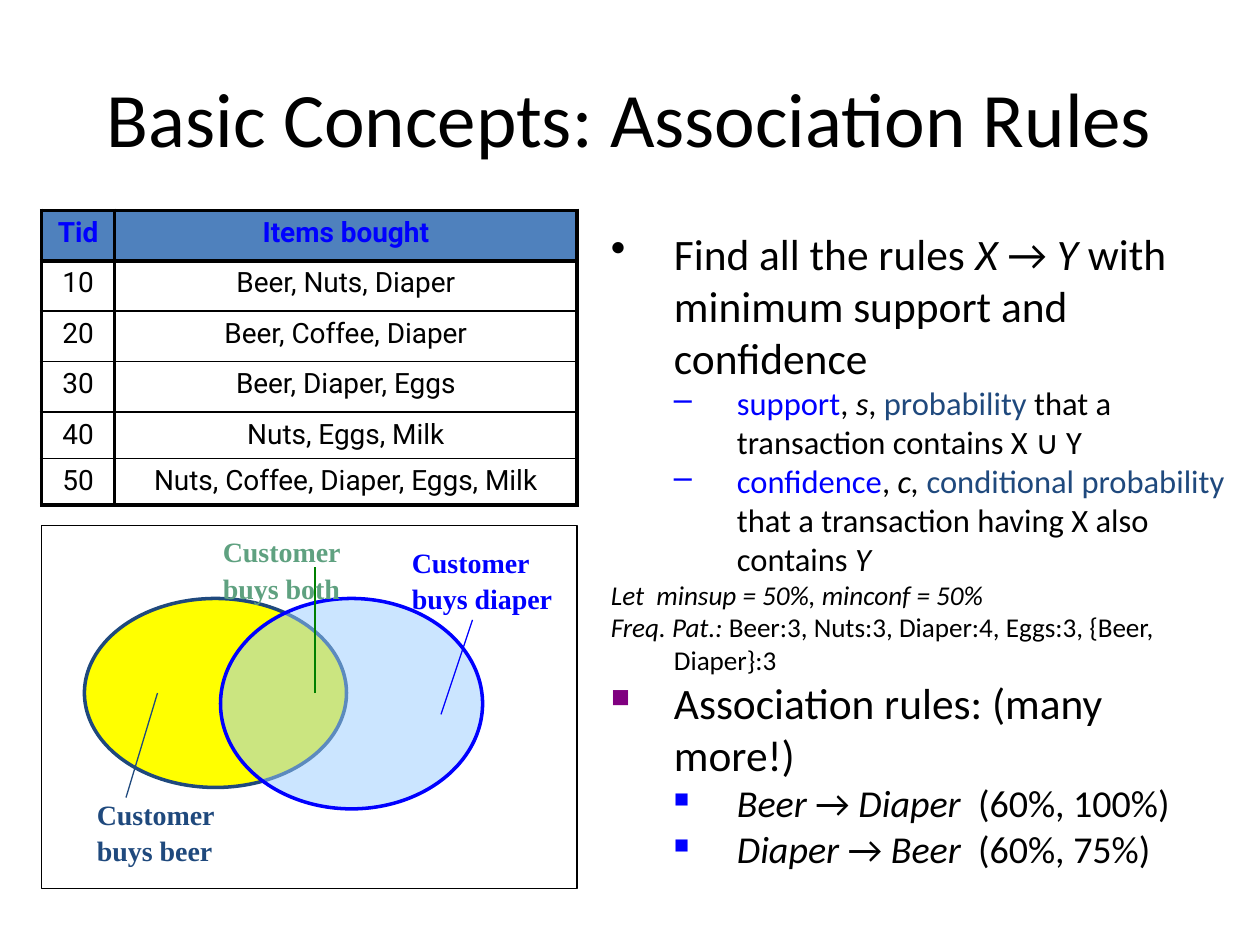
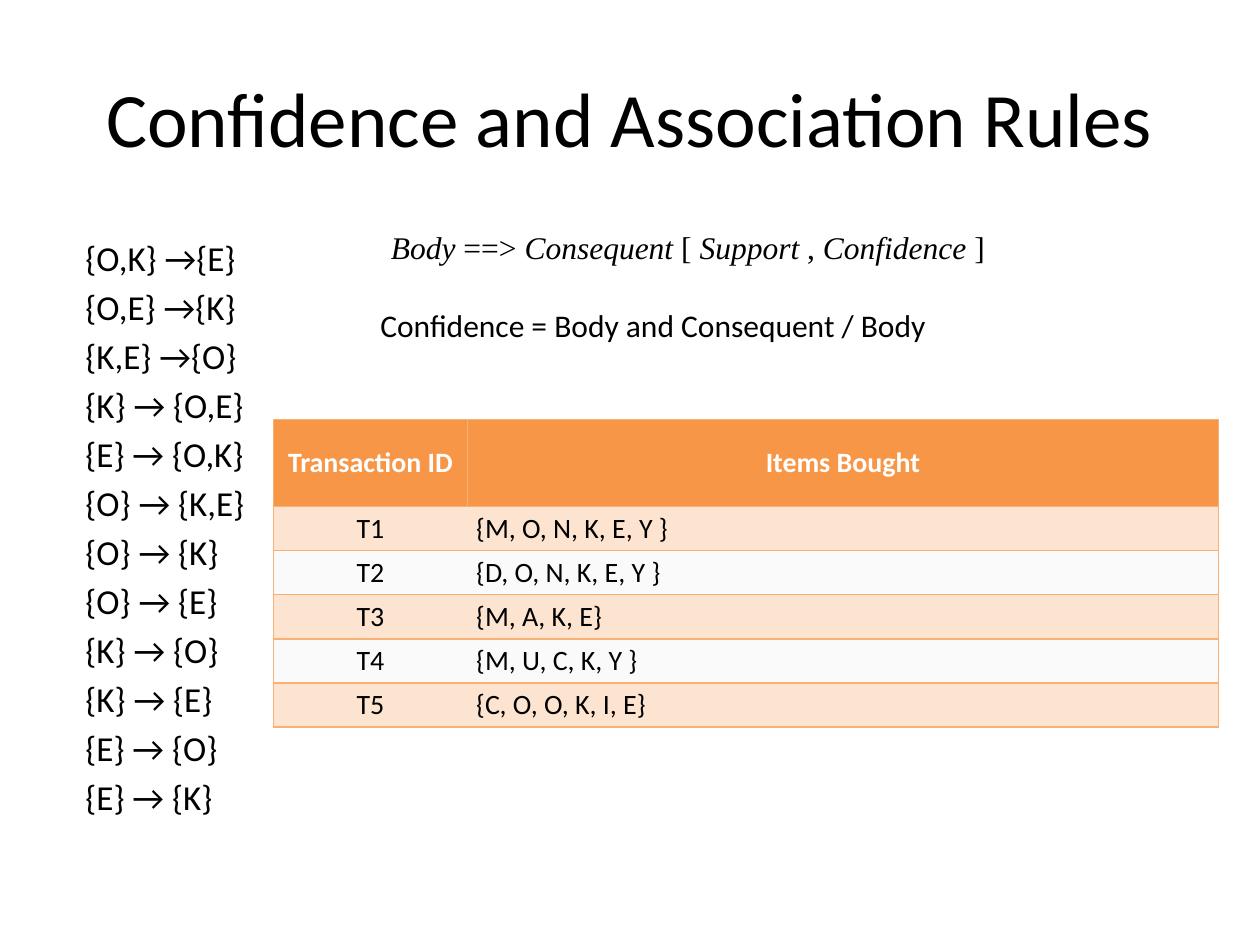
from dataclasses import dataclass

from lxml import etree
from pptx import Presentation
from pptx import util as u
from pptx.dml.color import RGBColor
from pptx.enum import shapes, text
from pptx.oxml import ns


@dataclass(frozen=True)
class Theme:
    black: str = "000000"
    white: str = "FFFFFF"
    blue: str = "0000FF"
    navy: str = "1F497D"
    purple: str = "800080"
    green: str = "008000"
    sage: str = "5FA180"
    yellow: str = "FFFF00"
    sky: str = "99CCFF"
    sans: str = "Calibri"
    serif: str = "Times New Roman"
    grid: str = "Roboto"
    title: float = 44
    big: float = 24.8
    mid: float = 21.7
    sub: float = 18.6
    note: float = 15.5
    list: float = 20
    text: float = 18
    small: float = 16


T = Theme()
I = "italic"  # marks an italic run; any other mark is a colour

# Content: a paragraph is a string or a list of strings and (string, mark) runs

TITLES = ["Basic Concepts: Association Rules", "Confidence and Association Rules"]

BASKETS = [
    ("Tid", "Items bought"),
    ("10", "Beer, Nuts, Diaper"),
    ("20", "Beer, Coffee, Diaper"),
    ("30", "Beer, Diaper, Eggs"),
    ("40", "Nuts, Eggs, Milk"),
    ("50", "Nuts, Coffee, Diaper, Eggs, Milk"),
]

ORDERS = [
    ("Transaction ID", "Items Bought"),
    ("T1", "{M, O, N, K, E, Y }"),
    ("T2", "{D, O, N, K, E, Y }"),
    ("T3", "{M, A, K, E}"),
    ("T4", "{M, U, C, K, Y }"),
    ("T5", "{C, O, O, K, I, E}"),
]

# Paragraph kinds: size, left indent, bullet, bullet colour, bullet percent
KINDS = {
    "point": (T.big, 0.5, "•", T.black, 100),
    "dash": (T.sub, 1, "–", T.blue, 100),
    "note": (T.note, 0.5, None, None, None),
    "box": (T.big, 0.5, "■", T.purple, 60),
    "sub": (T.mid, 1, "■", T.blue, 55),
}

POINTS = [
    ("point", ["Find all the rules ", ("X ", I), "→ ", ("Y ", I),
               "with minimum support and confidence"]),
    ("dash", [("support", T.blue), ", ", ("s", I), ", ", ("probability", T.navy),
              " that a transaction contains X ∪ Y"]),
    ("dash", [("confidence", T.blue), ", ", ("c, ", I),
              ("conditional probability", T.navy),
              " that a transaction having X also contains ", ("Y", I)]),
    ("note", [("Let  minsup = 50%, minconf = 50%", I)]),
    ("note", [("Freq. Pat.: ", I),
              "Beer:3, Nuts:3, Diaper:4, Eggs:3, {Beer, Diaper}:3"]),
    ("box", ["Association rules: (many more!)"]),
    ("sub", [("Beer ", I), "→", (" Diaper  ", I), "(60%, 100%)"]),
    ("sub", [("Diaper ", I), "→", (" Beer  ", I), "(60%, 75%)"]),
]

RULES = [
    "{O,K} →{E}", "{O,E} →{K}", "{K,E} →{O}",
    "{K} → {O,E}", "{E} → {O,K}", "{O} → {K,E}",
    "{O} → {K}", "{O} → {E}", "{K} → {O}",
    "{K} → {E}", "{E} → {O}", "{E} → {K}",
]

FORM = [("Body", I), " ==> ", ("Consequent", I), " [ ", ("Support", I), " , ",
        ("Confidence", I), " ] "]
RATIO = "Confidence = Body and Consequent / Body"

# Venn diagram: box, fill, alpha percent, line colour
RINGS = [
    ((0.67, 4.75, 2.08, 1.5), T.yellow, 100, T.navy),
    ((1.75, 4.75, 2.08, 1.67), T.sky, 50, T.blue),
]
LEADS = [
    ((1.25, 5.5, 1, 6.33), T.navy),
    ((3.5, 5.67, 3.75, 4.92), T.blue),
    ((2.5, 5.5, 2.5, 4.5), T.green),
]
TAGS = [
    ((3.17, 4.25, 1.33, 0.69), "buys diaper", T.blue),
    ((1.67, 4.17, 1.14, 0.69), "buys both", T.sage),
    ((0.67, 6.25, 1.14, 0.69), "buys beer", T.navy),
]

# Table looks; widths in points: edge for frame and head, rule between rows,
# split between body columns
PLAIN = dict(font=T.grid, head=T.blue, fills=("4F81BD", None, None), line=T.black,
             edge=2.25, rule=1, split=2.25, pad=(0.1, 0.05), before=3.2,
             anchor="TOP", aligns=("CENTER", "CENTER"))
BANDED = dict(font=T.sans, head=T.white, fills=("F79646", "FDE4D0", "FAFAFA"),
              line="F9B074", edge=1, rule=1, split=0, pad=(0.07, 0), before=0,
              anchor="MIDDLE", aligns=("CENTER", "LEFT"))


def rgb(hue):
    return RGBColor.from_string(hue)


def inch(nums):
    return [u.Inches(n) for n in nums]


def node(root, tag, **attrs):
    return etree.SubElement(root, ns.qn(tag), attrs)


def write(par, runs, size=T.text, font=T.sans, hue=T.black, bold=False,
          align="LEFT", before=0, space=None):
    """Fill one paragraph with runs in the given format."""
    par.alignment = getattr(text.PP_ALIGN, align)
    par.space_before = u.Pt(before)
    if space:
        par.line_spacing = space
    for part in [runs] if isinstance(runs, str) else runs:
        words, mark = (part, None) if isinstance(part, str) else part
        run = par.add_run()
        run.text = words
        face = run.font
        face.size, face.name, face.bold = u.Pt(size), font, bold
        face.italic = mark == I
        face.color.rgb = rgb(mark if mark and mark != I else hue)


def frame(slide, box, wrap=True, anchor="TOP"):
    body = slide.shapes.add_textbox(*inch(box)).text_frame
    body.word_wrap = wrap
    body.vertical_anchor = getattr(text.MSO_ANCHOR, anchor)
    return body


def pars(body, items):
    """Yield a paragraph for each item, starting with the one already there."""
    for i, item in enumerate(items):
        yield (body.add_paragraph() if i else body.paragraphs[0]), item


def label(slide, box, lines, wrap=True, anchor="TOP", **form):
    for par, line in pars(frame(slide, box, wrap, anchor), lines):
        write(par, line, **form)


def points(slide, box, items):
    for par, (kind, runs) in pars(frame(slide, box), items):
        size, left, mark, hue, scale = KINDS[kind]
        write(par, runs, size=size)
        prop = par._p.get_or_add_pPr()
        prop.set("marL", str(u.Inches(left)))
        prop.set("indent", str(u.Inches(-0.5)))
        if mark:
            node(node(prop, "a:buClr"), "a:srgbClr", val=hue)
            node(prop, "a:buSzPct", val=str(scale * 1000))
            node(prop, "a:buChar", char=mark)
        else:
            node(prop, "a:buNone")


def shape(slide, kind, box, fill, line, width, alpha=100):
    item = slide.shapes.add_shape(kind, *inch(box))
    item.shadow.inherit = False
    item.line.color.rgb, item.line.width = rgb(line), u.Pt(width)
    if fill:
        item.fill.solid()
        item.fill.fore_color.rgb = rgb(fill)
        if alpha < 100:
            tint = item._element.spPr.find(".//" + ns.qn("a:srgbClr"))
            node(tint, "a:alpha", val=str(alpha * 1000))
    else:
        item.fill.background()


def lead(slide, ends, hue):
    item = slide.shapes.add_connector(shapes.MSO_CONNECTOR.STRAIGHT, *inch(ends))
    item.line.color.rgb, item.line.width = rgb(hue), u.Pt(0.75)
    node(item._element.spPr, "a:effectLst")


def edges(cell, hue, widths):
    """Set left, right, top and bottom borders; zero width hides one."""
    prop = cell._tc.get_or_add_tcPr()
    for i, (side, width) in enumerate(zip("LRTB", widths)):
        line = node(prop, "a:ln" + side, w=str(u.Pt(width)))
        if width:
            node(node(line, "a:solidFill"), "a:srgbClr", val=hue)
        else:
            node(line, "a:noFill")
        prop.insert(i, line)


def table(slide, box, cols, rows, data, look):
    grid = slide.shapes.add_table(len(data), len(cols), *inch(box)).table
    grid._tbl.tblPr.find(ns.qn("a:tableStyleId")).text = (
        "{2D5ABB26-0587-4C30-8999-92F81FD0307C}")
    for col, width in zip(grid.columns, inch(cols)):
        col.width = width
    for row, high in zip(grid.rows, inch(rows)):
        row.height = high
    edge, rule, split = look["edge"], look["rule"], look["split"]
    across, down = inch(look["pad"])
    last, end = len(data) - 1, len(cols) - 1
    for r, line in enumerate(data):
        for c, words in enumerate(line):
            cell = grid.cell(r, c)
            cell.margin_left = cell.margin_right = across
            cell.margin_top = cell.margin_bottom = down
            cell.vertical_anchor = getattr(text.MSO_ANCHOR, look["anchor"])
            head = r == 0
            write(cell.text_frame.paragraphs[0], words, size=T.small,
                  font=look["font"], hue=look["head"] if head else T.black,
                  bold=head, before=look["before"],
                  align="CENTER" if head else look["aligns"][c])
            fill = look["fills"][0 if head else 2 - r % 2]
            if fill:
                cell.fill.solid()
                cell.fill.fore_color.rgb = rgb(fill)
            else:
                cell.fill.background()
            mid = edge if head else split
            edges(cell, look["line"], (
                mid if c else edge, edge if c == end else mid,
                edge if r < 2 else rule, edge if r in (0, last) else rule))


def start(deck, name):
    slide = deck.slides.add_slide(deck.slide_layouts[6])
    label(slide, (0.5, 0.3, 9, 1.25), [name], anchor="MIDDLE",
          size=T.title, align="CENTER")
    return slide


def basics(deck):
    slide = start(deck, TITLES[0])
    points(slide, (4.75, 1.75, 5.08, 5.33), POINTS)
    for box, fill, alpha, line in RINGS:
        shape(slide, shapes.MSO_SHAPE.OVAL, box, fill, line, 2, alpha)
    for ends, hue in LEADS:
        lead(slide, ends, hue)
    for box, words, hue in TAGS:
        label(slide, box, ["Customer", words], wrap=False, size=T.small,
              font=T.serif, hue=hue, bold=True, space=1.1)
    shape(slide, shapes.MSO_SHAPE.RECTANGLE, (0.33, 4.17, 4.25, 2.88),
          None, T.black, 0.75)
    table(slide, (0.33, 1.67, 4.25, 2.33), (0.58, 3.67),
          [0.4] * 4 + [0.37] * 2, BASKETS, PLAIN)


def trust(deck):
    slide = start(deck, TITLES[1])
    label(slide, (0.58, 1.83, 1.6, 5.33), RULES, size=T.list, before=4)
    table(slide, (2.17, 3.33, 7.5, 2.42), (1.54, 5.96),
          [0.69] + [0.35] * 5, ORDERS, BANDED)
    label(slide, (2.92, 2.38, 5.05, 0.71), [RATIO])
    label(slide, (2.98, 1.76, 5.02, 0.4), [FORM], font=T.serif, align="CENTER")


def main():
    deck = Presentation()
    deck.slide_width, deck.slide_height = inch((10, 7.5))
    basics(deck)
    trust(deck)
    deck.save("out.pptx")


if __name__ == "__main__":
    main()
